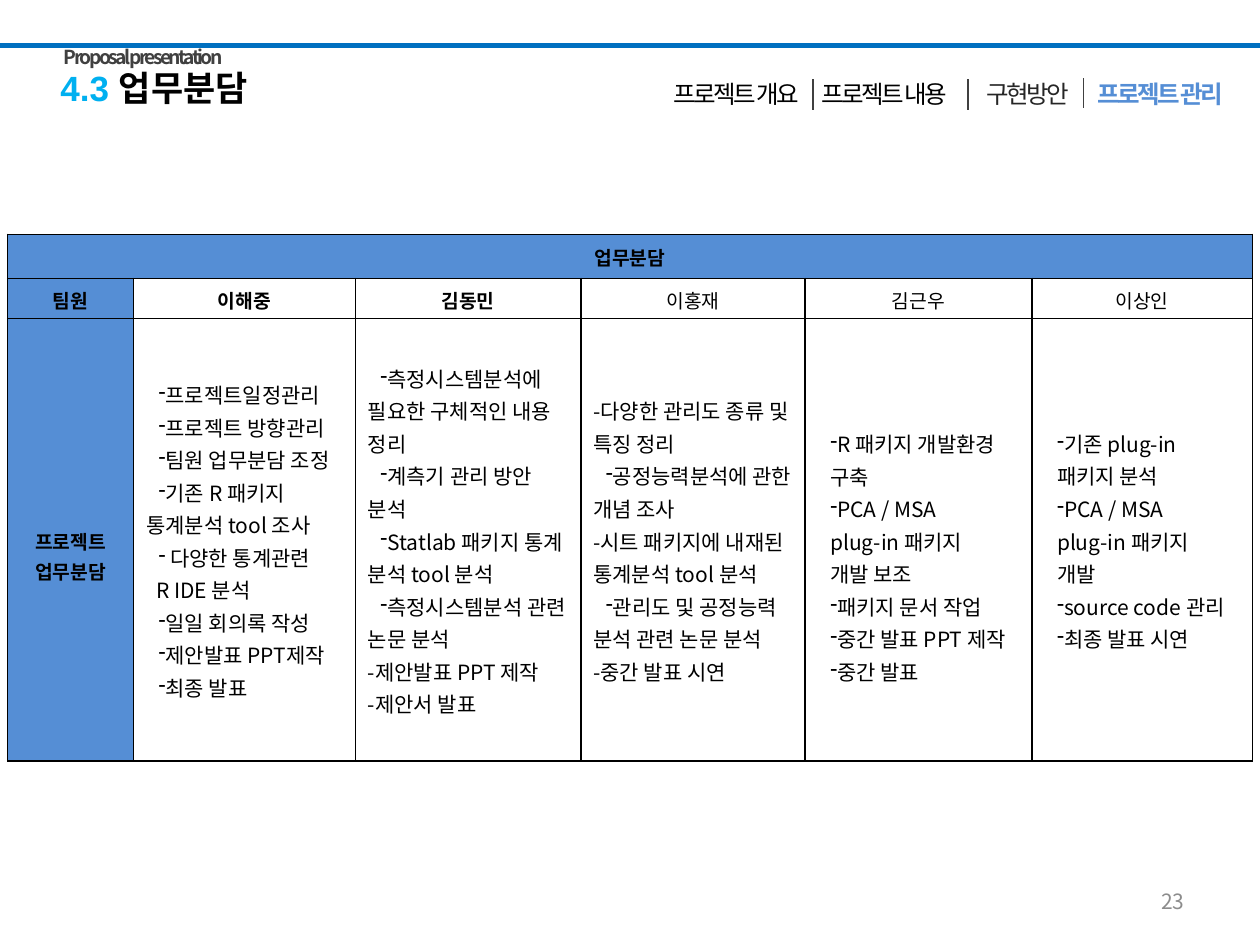
from dataclasses import dataclass
from enum import Enum

from lxml.etree import SubElement
from pptx import Presentation
from pptx.dml.color import RGBColor
from pptx.enum.shapes import MSO_CONNECTOR as Connector
from pptx.enum.text import MSO_ANCHOR as Anchor, MSO_AUTO_SIZE as AutoSize, PP_ALIGN as Align
from pptx.oxml.ns import qn
from pptx.util import Inches, Pt

BLACK = RGBColor(0x00, 0x00, 0x00)
WHITE = RGBColor(0xFF, 0xFF, 0xFF)
BLUE = RGBColor(0x55, 0x8E, 0xD5)
RULE_BLUE = RGBColor(0x00, 0x70, 0xC0)
SKY = RGBColor(0x00, 0xB0, 0xF0)
CHARCOAL = RGBColor(0x26, 0x26, 0x26)
DARK_GREY = RGBColor(0x40, 0x40, 0x40)
PAGE_GREY = RGBColor(0x8C, 0x8C, 0x8C)
FONT = "Noto Sans CJK KR"
WIDTH, HEIGHT = Inches(10), Inches(7.5)
GRID_COLUMNS, GRID_ROWS = 100, 75


class Style(Enum):
    """Left margin, first-line indent (grid columns) and whether a dash leads."""
    DASH = (0, 1, True)       # wrapped lines return to the cell edge
    BLOCK = (1, 0, True)      # broken lines align below the dash
    PLAIN = (0, 0, False)
    INSET = (0.8, 0, False)


@dataclass
class Task:
    text: str
    style: Style = Style.DASH


@dataclass
class Member:
    name: str
    width: float
    tasks: list[Task]
    bold: bool = False
    top_margin: float = 0.5


@dataclass
class NavItem:
    text: str
    left: float
    width: float
    color: RGBColor
    bold: bool = False


MEMBERS = [
    Member("이해중", 17.6, [
        Task("프로젝트일정관리"), Task("프로젝트 방향관리"), Task("팀원 업무분담 조정"),
        Task("기존 R 패키지 통계분석 tool 조사"), Task(" 다양한 통계관련"),
        Task("R IDE 분석", Style.INSET), Task("일일 회의록 작성"),
        Task("제안발표 PPT제작"), Task("최종 발표")], bold=True),
    Member("김동민", 17.9, [
        Task("측정시스템분석에 필요한 구체적인 내용 정리"), Task("계측기 관리 방안 분석"),
        Task("Statlab 패키지 통계 분석 tool 분석"), Task("측정시스템분석 관련 논문 분석"),
        Task("-제안발표 PPT 제작", Style.PLAIN), Task("-제안서 발표", Style.PLAIN)], bold=True),
    Member("이홍재", 17.8, [
        Task("-다양한 관리도 종류 및 특징 정리", Style.PLAIN), Task("공정능력분석에 관한 개념 조사"),
        Task("-시트 패키지에 내재된 통계분석 tool 분석", Style.PLAIN), Task("관리도 및 공정능력"),
        Task("분석 관련 논문 분석", Style.PLAIN), Task("-중간 발표 시연", Style.PLAIN)]),
    Member("김근우", 18, [
        Task("R 패키지 개발환경\n구축", Style.BLOCK),
        Task("PCA / MSA\nplug-in 패키지\n개발 보조", Style.BLOCK),
        Task("패키지 문서 작업"), Task("중간 발표 PPT 제작"), Task("중간 발표")], top_margin=3.1),
    Member("이상인", 17.5, [
        Task("기존 plug-in\n패키지 분석", Style.BLOCK),
        Task("PCA / MSA\nplug-in 패키지\n개발", Style.BLOCK),
        Task("source code 관리"), Task("최종 발표 시연")]),
]
NAVIGATION = [
    NavItem("프로젝트 개요", 50, 16.9, BLACK),
    NavItem("프로젝트 내용", 63.5, 13.4, BLACK),
    NavItem("구현방안", 76.2, 10.7, CHARCOAL),
    NavItem("프로젝트 관리", 85.6, 13, BLUE, bold=True),
]
DIVIDERS = [(64.5, 6.3), (76.8, 6.3), (86, 6.2)]  # column, top row


def across(columns: float) -> int:
    return round(WIDTH * columns / GRID_COLUMNS)


def down(rows: float) -> int:
    return round(HEIGHT * rows / GRID_ROWS)


def apply(target, values: dict) -> None:
    for name, value in values.items():
        setattr(target, name, value)


def add_run(paragraph, text: str, size: float, color: RGBColor, bold: bool = False,
            font: str = FONT, spacing: float = 0) -> None:
    run = paragraph.add_run()
    run.text = text
    apply(run.font, {"size": Pt(size), "bold": bold, "name": font})
    run.font.color.rgb = color
    properties = run._r.get_or_add_rPr()
    SubElement(properties, qn("a:ea")).set("typeface", FONT)
    if spacing:
        properties.set("spc", str(round(spacing * 100)))


def add_label(shapes, box: tuple, text: str, size: float, color: RGBColor, align: Align,
              bold: bool = False, spacing: float = 0, wrap: bool = True,
              anchor: Anchor = Anchor.TOP) -> None:
    left, top, width, height = box
    shape = shapes.add_textbox(across(left), down(top), across(width), down(height))
    apply(shape.text_frame, {"word_wrap": wrap, "vertical_anchor": anchor})
    paragraph = shape.text_frame.paragraphs[0]
    paragraph.alignment = align
    add_run(paragraph, text, size, color, bold, spacing=spacing)


def add_line(shapes, start: tuple, end: tuple, color: RGBColor, weight: float) -> None:
    line = shapes.add_connector(Connector.STRAIGHT, across(start[0]), down(start[1]),
                                across(end[0]), down(end[1]))
    line.line.color.rgb = color
    line.line.width = Pt(weight)
    SubElement(line._element.spPr, qn("a:effectLst"))


def prepare_cell(cell, fill: RGBColor, side: float, top: float, bottom: float) -> None:
    properties = cell._tc.get_or_add_tcPr()
    for edge in ("a:lnL", "a:lnR", "a:lnT", "a:lnB"):
        border = SubElement(properties, qn(edge), w=str(Pt(1)))
        SubElement(SubElement(border, qn("a:solidFill")), qn("a:srgbClr"), val=str(BLACK))
    cell.fill.solid()
    cell.fill.fore_color.rgb = fill
    apply(cell, {"vertical_anchor": Anchor.MIDDLE, "margin_left": across(side),
                 "margin_right": across(side), "margin_top": down(top),
                 "margin_bottom": down(bottom)})


def next_paragraph(cell, index: int):
    frame = cell.text_frame
    paragraph = frame.add_paragraph() if index else frame.paragraphs[0]
    paragraph.line_spacing = 1.07
    return paragraph


def fill_heading(cell, lines: list[str], fill: RGBColor, bold: bool = True, top: float = 0) -> None:
    prepare_cell(cell, fill, 0.7, top, 0)
    for index, text in enumerate(lines):
        paragraph = next_paragraph(cell, index)
        paragraph.alignment = Align.CENTER
        add_run(paragraph, text, 11, BLACK, bold)


def fill_tasks(cell, member: Member) -> None:
    prepare_cell(cell, WHITE, 1, member.top_margin, 0.5)
    for index, task in enumerate(member.tasks):
        paragraph = next_paragraph(cell, index)
        margin, indent, dashed = task.style.value
        properties = paragraph._p.get_or_add_pPr()
        properties.set("marL", str(across(margin)))
        properties.set("indent", str(across(indent)))
        if dashed:
            SubElement(properties, qn("a:buChar")).set("char", "-")
        for number, text in enumerate(task.text.split("\n")):
            if number:
                paragraph.add_line_break()
            add_run(paragraph, text, 12, BLACK)


def add_work_table(shapes) -> None:
    widths = [10] + [member.width for member in MEMBERS]
    heights = [3.5, 3.2, 35.1]
    table = shapes.add_table(len(heights), len(widths), across(0.6), down(18.6),
                             across(sum(widths)), down(sum(heights))).table
    for column, width in zip(table.columns, widths):
        column.width = across(width)
    for row, height in zip(table.rows, heights):
        row.height = down(height)
    for column in range(len(widths)):
        prepare_cell(table.cell(0, column), BLUE, 0.7, 0, 0) if column else None
    table.cell(0, 0).merge(table.cell(0, len(MEMBERS)))
    fill_heading(table.cell(0, 0), ["업무분담"], BLUE)
    fill_heading(table.cell(1, 0), ["팀원"], BLUE)
    fill_heading(table.cell(2, 0), ["프로젝트", "업무분담"], BLUE, top=2.4)
    for column, member in enumerate(MEMBERS, start=1):
        fill_heading(table.cell(1, column), [member.name], WHITE, member.bold)
        fill_tasks(table.cell(2, column), member)


def main() -> None:
    presentation = Presentation()
    apply(presentation, {"slide_width": WIDTH, "slide_height": HEIGHT})
    slide = presentation.slides.add_slide(presentation.slide_layouts[5])
    shapes = slide.shapes

    # Work table and top rule
    add_work_table(shapes)
    add_line(shapes, (-0.2, 3.6), (100.2, 3.6), RULE_BLUE, 3)

    # Title
    title = shapes.title
    apply(title, {"left": across(3.8), "top": down(4.8), "width": across(46.2), "height": down(4.4)})
    apply(title.text_frame, {"vertical_anchor": Anchor.TOP, "word_wrap": True,
                             "auto_size": AutoSize.NONE})
    heading = title.text_frame.paragraphs[0]
    heading.alignment = Align.LEFT
    add_run(heading, "4.3 ", 20, SKY, True, "Arial")
    add_run(heading, "업무분담", 20, BLACK, True, "Arial")

    # Section navigation
    group = shapes.add_group_shape().shapes
    for item in NAVIGATION:
        add_label(group, (item.left, 5.8, item.width, 3.4), item.text, 14, item.color,
                  Align.CENTER, item.bold, spacing=-1.5, wrap=False)
    for column, row in DIVIDERS:
        add_line(group, (column, row), (column, row + 2.4), DARK_GREY, 1)

    # Running head and page number
    add_label(shapes, (4.1, 3.1, 24.4, 2.9), "Proposal presentation", 11, DARK_GREY,
              Align.JUSTIFY, True, spacing=-1.5)
    add_label(shapes, (71.7, 69.5, 23.3, 4), "23", 12, PAGE_GREY, Align.RIGHT,
              anchor=Anchor.MIDDLE)
    presentation.save("out.pptx")


if __name__ == "__main__":
    main()
